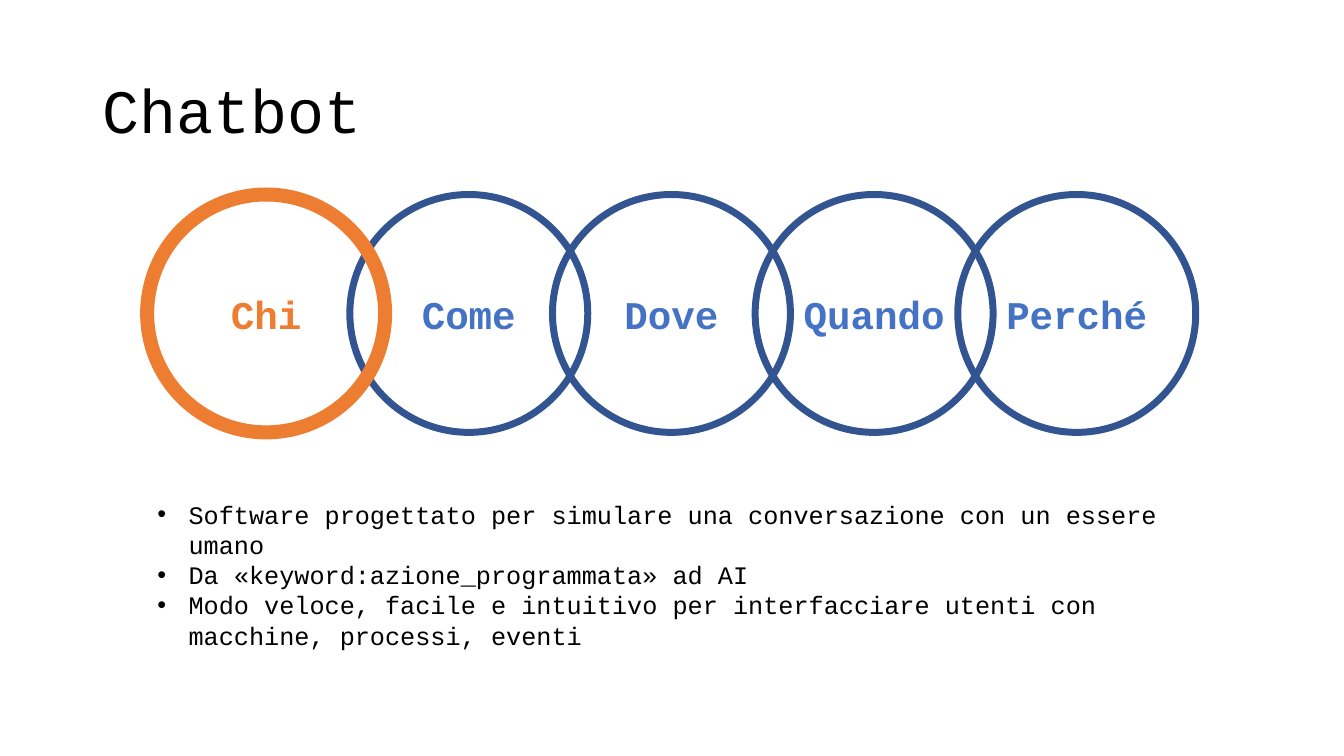
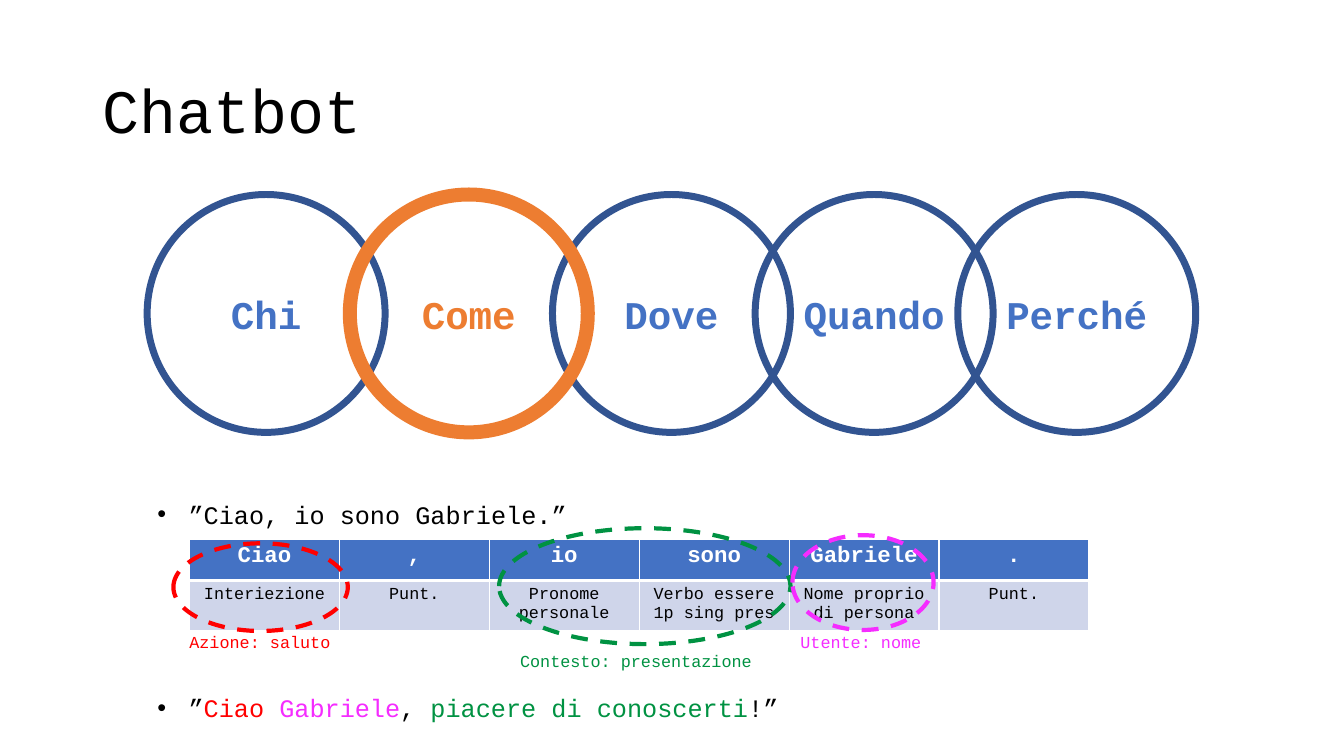
"""Build two slides on chatbots: a chain of five questions with the answers below."""
from dataclasses import dataclass

from lxml import etree
from pptx import Presentation
from pptx.dml.color import RGBColor
from pptx.enum.dml import MSO_LINE
from pptx.enum.shapes import MSO_SHAPE
from pptx.enum.text import MSO_ANCHOR, MSO_AUTO_SIZE, PP_ALIGN
from pptx.oxml.ns import qn
from pptx.util import Inches, Pt

OVAL = MSO_SHAPE.OVAL
DASH = MSO_LINE.DASH
MIDDLE, TOP = MSO_ANCHOR.MIDDLE, MSO_ANCHOR.TOP
LEFT, CENTER = PP_ALIGN.LEFT, PP_ALIGN.CENTER
FIT_SHAPE, NO_FIT = MSO_AUTO_SIZE.SHAPE_TO_FIT_TEXT, MSO_AUTO_SIZE.NONE
TITLE_AND_CONTENT, TWO_CONTENT = 1, 3


@dataclass(frozen=True)
class Theme:
    """Colours, font and type sizes shared by the slides."""

    font: str = "Courier New"
    black: str = "000000"
    white: str = "FFFFFF"
    blue: str = "4472C4"
    dark_blue: str = "325491"
    orange: str = "ED7D31"
    pale_blue: str = "CFD5EA"
    red: str = "FF0000"
    green: str = "009242"
    magenta: str = "F52CFF"
    title_size: int = 44
    ring_size: int = 28
    list_size: int = 18
    header_size: int = 16
    small_size: int = 12


THEME = Theme()


@dataclass(frozen=True)
class Box:
    """Place and size in inches."""

    left: float
    top: float
    width: float
    height: float

    def lengths(self) -> tuple:
        """Return the four values as lengths."""
        return tuple(Inches(value) for value in (self.left, self.top, self.width, self.height))


@dataclass(frozen=True)
class Span:
    """A piece of text in one colour."""

    text: str
    color: str = THEME.black


@dataclass(frozen=True)
class Mark:
    """A dashed oval on the table with its caption."""

    oval: Box
    caption: str
    caption_box: Box
    color: str


TITLE_BOX = Box(0.92, 0.4, 11.5, 1.45)
QUESTIONS = ("Chi", "Come", "Dove", "Quando", "Perché")
FIRST_RING = Box(1.46, 1.93, 2.36, 2.36)
RING_STEP = 2.01
BULLET_INDENT = 0.31

DEFINITION_BOX = Box(1.46, 4.9, 10.32, 1.92)
DEFINITION = (
    (Span("Software progettato per simulare una conversazione con un essere umano"),),
    (Span("Da «keyword:azione_programmata» ad AI"),),
    (Span("Modo veloce, facile e intuitivo per interfacciare utenti con macchine, processi, eventi"),),
)

REQUEST_BOX = Box(1.46, 4.9, 10.32, 0.4)
REQUEST = ((Span("”Ciao, io sono Gabriele.”"),),)
REPLY_BOX = Box(1.46, 6.82, 10.32, 0.4)
REPLY = (
    (
        Span("”"),
        Span("Ciao ", THEME.red),
        Span("Gabriele", THEME.magenta),
        Span(", "),
        Span("piacere di conoscerti", THEME.green),
        Span("!”"),
    ),
)

TABLE_BOX = Box(1.88, 5.35, 8.92, 0.91)
ROW_HEIGHTS = (0.41, 0.5)
WORDS = (
    ("Ciao", "Interiezione"),
    (",", "Punt."),
    ("io", "Pronome personale"),
    ("sono", "Verbo essere 1p sing pres"),
    ("Gabriele", "Nome proprio di persona"),
    (".", "Punt."),
)
MARKS = (
    Mark(Box(1.72, 5.39, 1.73, 0.87), "Azione: saluto", Box(1.78, 6.22, 1.83, 0.3), THEME.red),
    Mark(Box(4.95, 5.24, 2.89, 1.15), "Contesto: presentazione", Box(5.06, 6.41, 2.57, 0.3), THEME.green),
    Mark(Box(7.86, 5.31, 1.4, 0.94), "Utente: nome", Box(7.84, 6.22, 1.83, 0.3), THEME.magenta),
)


def rgb(color: str) -> RGBColor:
    """Turn a hex string into a colour."""
    return RGBColor.from_string(color)


def add_run(paragraph, span: Span, size: int, bold: bool = False) -> None:
    """Add one formatted run."""
    run = paragraph.add_run()
    run.text = span.text
    run.font.name = THEME.font
    run.font.size = Pt(size)
    run.font.bold = bold
    run.font.color.rgb = rgb(span.color)


def place(shape, box: Box) -> None:
    """Move and size a shape."""
    shape.left, shape.top, shape.width, shape.height = box.lengths()


def add_bullet(paragraph) -> None:
    """Give a paragraph a hanging bullet."""
    properties = paragraph._p.get_or_add_pPr()
    indent = Inches(BULLET_INDENT)
    properties.set("marL", str(indent))
    properties.set("indent", str(-indent))
    etree.SubElement(properties, qn("a:buFont")).set("typeface", "Arial")
    etree.SubElement(properties, qn("a:buChar")).set("char", "•")


def fill_title(slide, text: str) -> None:
    """Write the slide title."""
    title = slide.shapes.title
    place(title, TITLE_BOX)
    frame = title.text_frame
    frame.auto_size = NO_FIT
    frame.vertical_anchor = MIDDLE
    paragraph = frame.paragraphs[0]
    paragraph.alignment = LEFT
    paragraph.line_spacing = 0.9
    add_run(paragraph, Span(text), THEME.title_size)


def fill_list(placeholder, box: Box, items: tuple) -> None:
    """Write a bulleted list into a body placeholder."""
    place(placeholder, box)
    frame = placeholder.text_frame
    frame.word_wrap = True
    frame.auto_size = FIT_SHAPE
    frame.vertical_anchor = TOP
    for index, spans in enumerate(items):
        paragraph = frame.add_paragraph() if index else frame.paragraphs[0]
        paragraph.alignment = LEFT
        paragraph.line_spacing = 1.0
        paragraph.space_before = Pt(0)
        add_bullet(paragraph)
        for span in spans:
            add_run(paragraph, span, THEME.list_size)


def add_oval(slide, box: Box, color: str, width: int):
    """Draw an unfilled oval."""
    oval = slide.shapes.add_shape(OVAL, *box.lengths())
    oval.shadow.inherit = False
    oval.fill.background()
    oval.line.color.rgb = rgb(color)
    oval.line.width = Pt(width)
    return oval


def add_ring(slide, index: int, active: bool) -> None:
    """Draw one question ring of the chain."""
    left = FIRST_RING.left + index * RING_STEP
    box = Box(left, FIRST_RING.top, FIRST_RING.width, FIRST_RING.height)
    ring = add_oval(slide, box, THEME.orange if active else THEME.dark_blue, 10 if active else 5)
    ring.text_frame.vertical_anchor = MIDDLE
    paragraph = ring.text_frame.paragraphs[0]
    paragraph.alignment = CENTER
    color = THEME.orange if active else THEME.blue
    add_run(paragraph, Span(QUESTIONS[index], color), THEME.ring_size, bold=True)


def add_chain(slide, active: int) -> None:
    """Draw the chain from right to left, with the active ring in front."""
    for index in reversed(range(len(QUESTIONS))):
        if index != active:
            add_ring(slide, index, False)
    add_ring(slide, active, True)


def set_borders(cell, top: int, bottom: int) -> None:
    """Give a cell white borders."""
    properties = cell._tc.get_or_add_tcPr()
    for side, width in (("L", 1), ("R", 1), ("T", top), ("B", bottom)):
        line = etree.SubElement(properties, qn(f"a:ln{side}"), w=str(Pt(width)))
        fill = etree.SubElement(line, qn("a:solidFill"))
        etree.SubElement(fill, qn("a:srgbClr"), val=THEME.white)


def fill_cell(cell, text: str, header: bool) -> None:
    """Write and colour one table cell."""
    set_borders(cell, 1 if header else 3, 3 if header else 1)
    cell.fill.solid()
    cell.fill.fore_color.rgb = rgb(THEME.blue if header else THEME.pale_blue)
    paragraph = cell.text_frame.paragraphs[0]
    paragraph.alignment = CENTER
    span = Span(text, THEME.white if header else THEME.black)
    add_run(paragraph, span, THEME.header_size if header else THEME.small_size, header)


def add_word_table(slide) -> None:
    """Draw the table of words and their grammar."""
    table = slide.shapes.add_table(len(ROW_HEIGHTS), len(WORDS), *TABLE_BOX.lengths()).table
    for row, height in zip(table.rows, ROW_HEIGHTS):
        row.height = Inches(height)
    for column, texts in enumerate(WORDS):
        for row, text in enumerate(texts):
            fill_cell(table.cell(row, column), text, header=row == 0)


def add_mark(slide, mark: Mark) -> None:
    """Draw a dashed oval and its caption."""
    add_oval(slide, mark.oval, mark.color, 3).line.dash_style = DASH
    frame = slide.shapes.add_textbox(*mark.caption_box.lengths()).text_frame
    frame.word_wrap = True
    frame.auto_size = FIT_SHAPE
    add_run(frame.paragraphs[0], Span(mark.caption, mark.color), THEME.small_size)


def add_chatbot_slide(presentation, layout: int, active: int, lists: tuple):
    """Add a slide with title, question chain and bulleted lists."""
    slide = presentation.slides.add_slide(presentation.slide_layouts[layout])
    fill_title(slide, "Chatbot")
    for index, (box, items) in enumerate(lists, start=1):
        fill_list(slide.placeholders[index], box, items)
    add_chain(slide, active)
    return slide


def main() -> None:
    """Build and save the presentation."""
    presentation = Presentation()
    presentation.slide_width = Inches(13.33)
    presentation.slide_height = Inches(7.5)
    add_chatbot_slide(presentation, TITLE_AND_CONTENT, 0, ((DEFINITION_BOX, DEFINITION),))
    slide = add_chatbot_slide(
        presentation, TWO_CONTENT, 1, ((REQUEST_BOX, REQUEST), (REPLY_BOX, REPLY))
    )
    add_word_table(slide)
    for mark in MARKS:
        add_mark(slide, mark)
    presentation.save("out.pptx")


if __name__ == "__main__":
    main()
